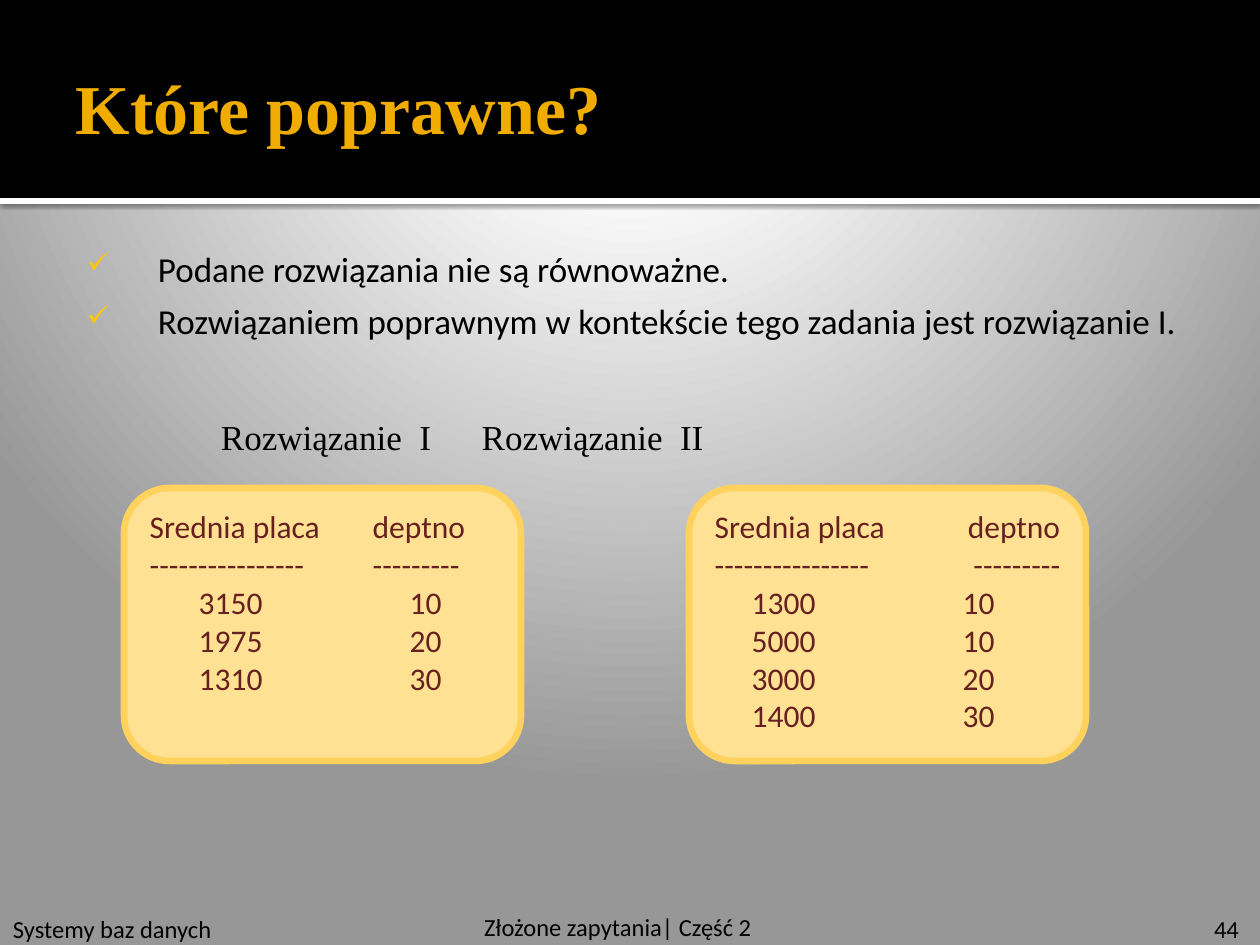
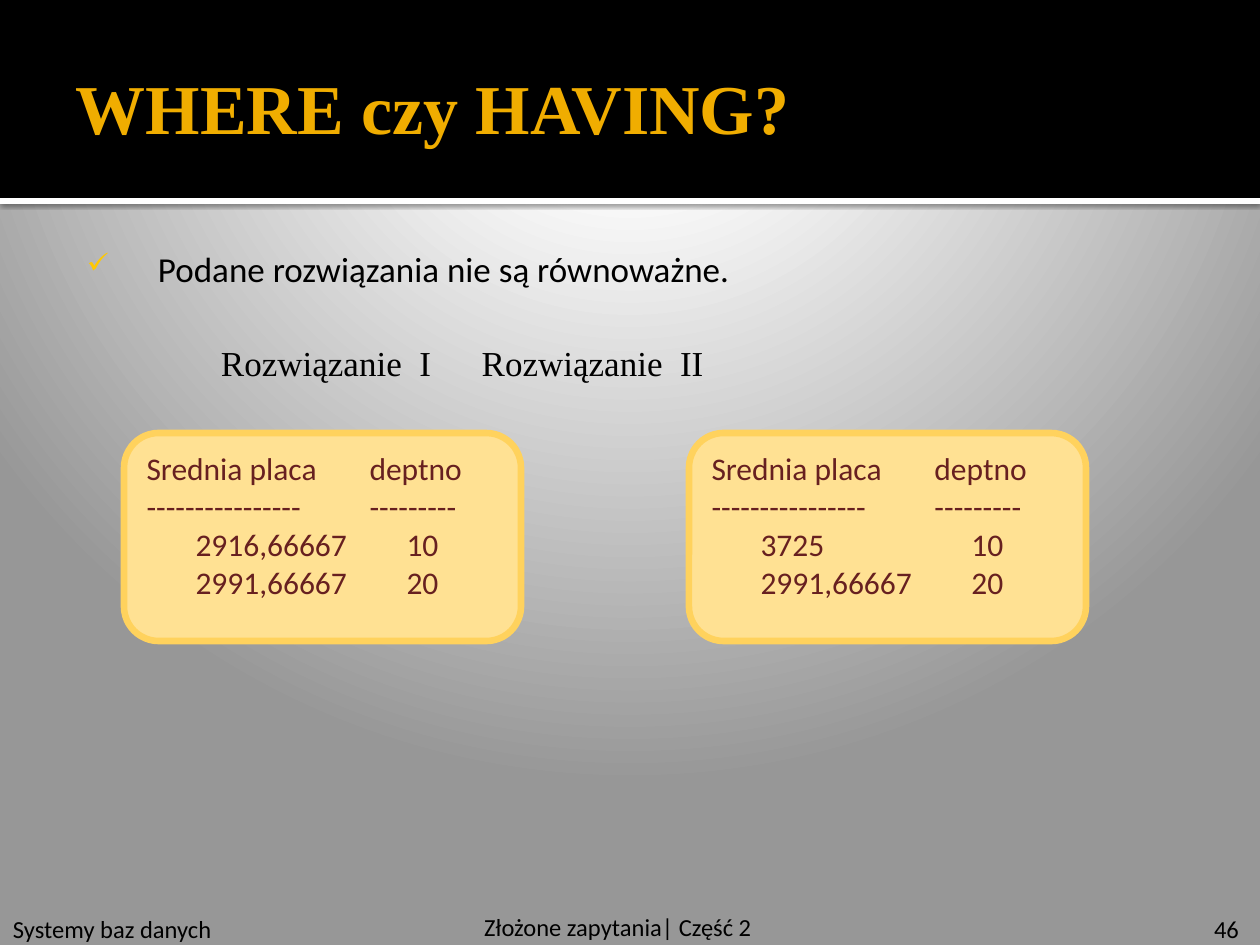
import pptx
import pptx.util
import pptx.dml.color
import pptx.enum.shapes
import pptx.enum.text
import pptx.oxml
import pptx.oxml.ns

RGB = pptx.dml.color.RGBColor
Pt = pptx.util.Pt
qn = pptx.oxml.ns.qn
SHAPE = pptx.enum.shapes.MSO_SHAPE
ANCHOR = pptx.enum.text.MSO_ANCHOR

# Content
COURSE = "Systemy baz danych"
TOPIC = "Złożone zapytania| Część 2"
LABELS = "\t\tRozwiązanie  I\t Rozwiązanie  II"
HEAD = ["Srednia placa\tdeptno", "----------------\t---------"]

# Tab stops in px: for the two head lines, then for the rows
NEAR = ([(223, "l")], [(49, "l"), (260, "l")])
FAR = ([(358, "r")], [(37, "l"), (248, "l")])

SLIDES = [
    {
        "title": "Które poprawne?", "page": "44",
        "points": ["Podane rozwiązania nie są równoważne.",
                   "Rozwiązaniem poprawnym w kontekście tego zadania jest rozwiązanie I."],
        "gap": 36, "body": 231, "top": 488, "high": 273,
        "cards": [
            (NEAR, [("3150", "10"), ("1975", "20"), ("1310", "30")]),
            (FAR, [("1300", "10"), ("5000", "10"), ("3000", "20"), ("1400", "30")]),
        ],
    },
    {
        "title": "WHERE czy HAVING?", "page": "46",
        "points": ["Podane rozwiązania nie są równoważne."],
        "gap": 24, "body": 157, "top": 433, "high": 208,
        "cards": [
            (NEAR, [("2916,66667", "10"), ("2991,66667", "20")]),
            (NEAR, [("3725", "10"), ("2991,66667", "20")]),
        ],
    },
]

# Shared look
WIDE, TALL = 1260, 945
BAND, RULE = 198, 6
CARD_X, CARD_W, CARD_STEP = 124, 397, 565
SANS, SERIF = "Calibri", "Times New Roman"
BLACK = RGB(0, 0, 0)
WHITE = RGB(255, 255, 255)
GOLD = RGB(0xF0, 0xAD, 0x00)
TICK = RGB(0xFF, 0xC8, 0x00)
CREAM = RGB(0xFF, 0xE1, 0x93)
EDGE = RGB(0xFF, 0xD2, 0x5D)
WINE = RGB(0x67, 0x20, 0x20)
GREY = RGB(0x97, 0x97, 0x97)
STOPS = [(0, WHITE), (20, WHITE), (100, GREY)]


def px(n):
    return pptx.util.Emu(round(n * 914400 / 126))


def xml(text):
    """Parse one element of the drawing namespace."""
    return pptx.oxml.parse_xml(text.replace(" ", f" {pptx.oxml.ns.nsdecls('a')} ", 1))


def style(para, size, color, face=SANS, bold=False):
    font = para.font
    font.size, font.name, font.bold = Pt(size), face, bold
    font.color.rgb = color


def paint(master):
    """Radial backdrop with its centre above the slide."""
    master.background.fill.gradient()
    old = master.element.find(".//" + qn("a:gradFill"))
    stops = "".join(f'<a:gs pos="{pos * 1000}"><a:srgbClr val="{color}"/></a:gs>'
                    for pos, color in STOPS)
    old.getparent().replace(old, xml(
        f'<a:gradFill rotWithShape="1"><a:gsLst>{stops}</a:gsLst><a:path path="circle">'
        '<a:fillToRect l="10000" t="-25000" r="10000" b="125000"/></a:path></a:gradFill>'))


def block(slide, kind, box, fill):
    shape = slide.shapes.add_shape(kind, *map(px, box))
    shape.shadow.inherit = False
    shape.fill.solid()
    shape.fill.fore_color.rgb = fill
    shape.line.fill.background()
    return shape


def write(slide, box, lines, inset=(13, 6, 13, 6)):
    """Add a text box and return its frame, one paragraph per line."""
    frame = slide.shapes.add_textbox(*map(px, box)).text_frame
    frame.word_wrap = True
    frame.auto_size = pptx.enum.text.MSO_AUTO_SIZE.SHAPE_TO_FIT_TEXT
    (frame.margin_left, frame.margin_top,
     frame.margin_right, frame.margin_bottom) = map(px, inset)
    frame.text = "\n".join(lines)
    return frame


def bands(slide):
    rule = block(slide, SHAPE.RECTANGLE, (0, BAND, WIDE, RULE), WHITE)
    rule.element.spPr.find(qn("a:effectLst")).append(xml(
        '<a:outerShdw blurRad="31750" dist="10160" dir="5400000" rotWithShape="0">'
        '<a:srgbClr val="000000"><a:alpha val="60000"/></a:srgbClr></a:outerShdw>'))
    block(slide, SHAPE.RECTANGLE, (0, 0, WIDE, BAND), BLACK)


def feet(slide, page):
    for x, y, w, text in [(0, 908, 362, COURSE), (1201, 908, 59, page), (471, 906, 357, TOPIC)]:
        style(write(slide, (x, y, w, 43), [text]).paragraphs[0], 14, BLACK)


def title(slide, text):
    frame = write(slide, (63, 58, 1134, 97), [text], (13, 6, 6, 6))
    frame.vertical_anchor = ANCHOR.MIDDLE
    style(frame.paragraphs[0], 40, GOLD, SERIF, True)


def body(slide, data):
    lines = data["points"] + [LABELS]
    frame = write(slide, (63, 234, 1134, data["body"]), lines, (8, 13, 13, 6))
    for para in frame.paragraphs:
        last = para.text == LABELS
        para.alignment = pptx.enum.text.PP_ALIGN.JUSTIFY
        para.space_before = Pt(data["gap"] if last else 0)
        para.space_after = Pt(12 if last else 6)
        props = para._p.get_or_add_pPr()
        props.set("marL", str(px(87)))
        props.set("indent", str(px(-71)))
        if not last:
            for part in (f'<a:buClr ><a:srgbClr val="{TICK}"/></a:buClr>',
                         '<a:buSzPct val="80000"/>', '<a:buChar char="✓"/>'):
                props.append(xml(part))
        style(para, 20, BLACK, SERIF if last else SANS)


def card(slide, box, tabs, rows):
    shape = block(slide, SHAPE.ROUNDED_RECTANGLE, box, CREAM)
    shape.line.color.rgb = EDGE
    shape.line.width = Pt(3.78)
    frame = shape.text_frame
    frame.word_wrap = True
    frame.vertical_anchor = ANCHOR.TOP
    frame.text = "\n".join(HEAD + [f"\t{pay}\t{dept}" for pay, dept in rows])
    for i, para in enumerate(frame.paragraphs):
        para.alignment = pptx.enum.text.PP_ALIGN.LEFT
        stops = "".join(f'<a:tab pos="{px(pos)}" algn="{side}"/>'
                        for pos, side in tabs[i >= len(HEAD)])
        para._p.get_or_add_pPr().append(xml(f"<a:tabLst >{stops}</a:tabLst>"))
        style(para, 18, WINE)


def main():
    deck = pptx.Presentation()
    deck.slide_width, deck.slide_height = px(WIDE), px(TALL)
    paint(deck.slide_master)
    for data in SLIDES:
        slide = deck.slides.add_slide(deck.slide_layouts[6])
        bands(slide)
        feet(slide, data["page"])
        body(slide, data)
        title(slide, data["title"])
        for i, (tabs, rows) in enumerate(data["cards"]):
            box = (CARD_X + i * CARD_STEP, data["top"], CARD_W, data["high"])
            card(slide, box, tabs, rows)
    deck.save("out.pptx")


if __name__ == "__main__":
    main()
